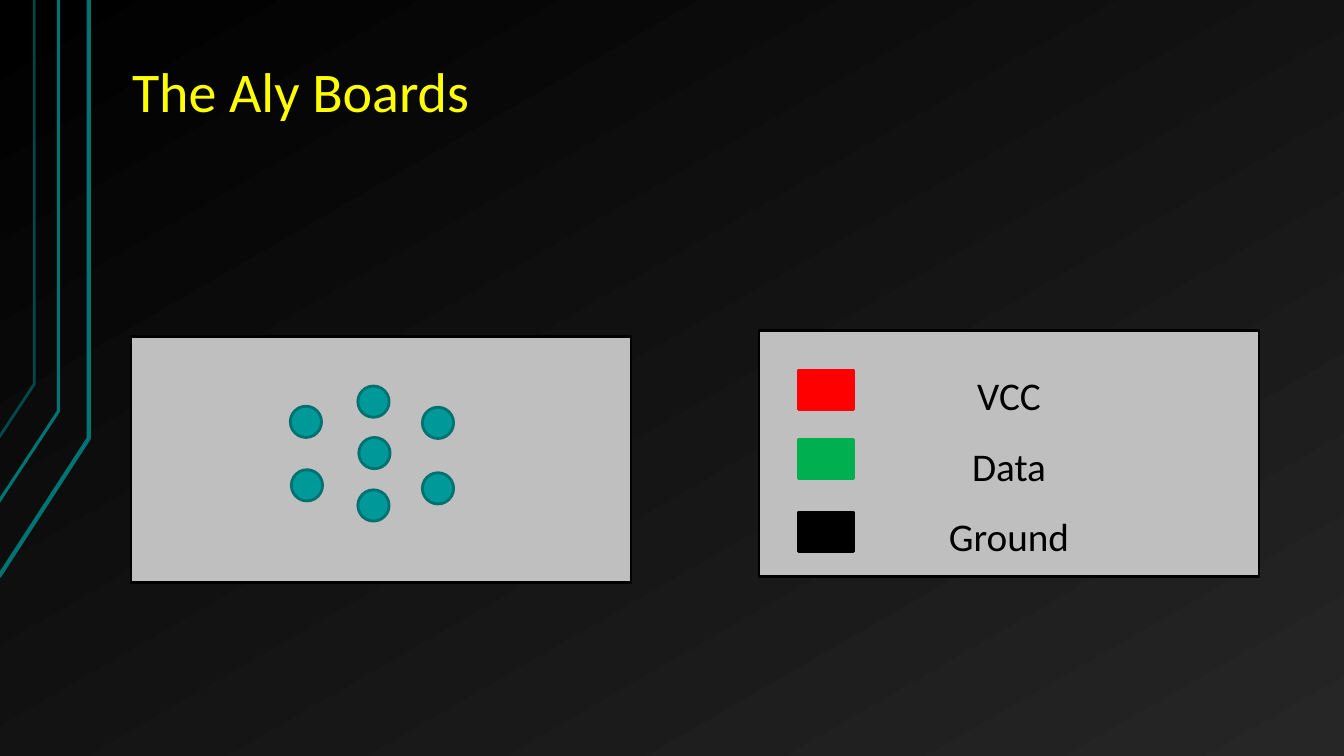
from lxml.etree import SubElement
from pptx import Presentation
from pptx.dml.color import RGBColor
from pptx.enum.shapes import MSO_SHAPE
from pptx.enum.text import MSO_ANCHOR, PP_ALIGN
from pptx.oxml.ns import qn
from pptx.util import Inches, Pt

COLORS = {
    "night": "000000",
    "graphite": "262626",
    "trace": "007373",
    "board": "BFBFBF",
    "black": "000000",
    "vcc": "FF0000",
    "data": "00B050",
    "pin": "009999",
    "pin_edge": "007171",
    "title": "FFFF00",
}
WIDTH, HEIGHT = Inches(13.33), Inches(7.5)
COLUMN, ROW = WIDTH / 40, HEIGHT / 30
BOARD_SIZE = (14.88, 9.76)
PIN_SIZE = (0.93, 1.24)
SWATCH_SIZE = (1.65, 1.56)
PINS = [
    (10.65, 15.32), (8.64, 16.12), (10.68, 17.36), (10.65, 19.44),
    (12.57, 18.76), (8.67, 18.64), (12.57, 16.16),
]
SWATCHES = [("vcc", 14.68), ("data", 17.44), ("black", 20.32)]
TRACES = [
    (2.64, 17.4, -0.03, 22.88, 3, 100),
    (1.74, 16.32, -0.06, 19.96, 2.25, 100),
    (1.02, 15.24, -0.03, 17.36, 2, 60),
]


def rgb(name):
    return RGBColor.from_string(COLORS[name])


def place(column, row):
    return round(column * COLUMN), round(row * ROW)


def paint_background(slide):
    fill = slide.background.fill
    fill.gradient()
    fill.gradient_angle = 300
    for stop, name in zip(fill.gradient_stops, ("night", "graphite")):
        stop.color.rgb = rgb(name)


def outline(shape, color, weight):
    shape.shadow.inherit = False
    shape.line.color.rgb = rgb(color)
    shape.line.width = Pt(weight)


def add_trace(slide, x, bend, end_x, end_y, weight, opacity):
    builder = slide.shapes.build_freeform(*place(end_x, end_y))
    builder.add_line_segments([place(x, bend), place(x, 0)], close=False)
    trace = builder.convert_to_shape()
    trace.fill.background()
    outline(trace, "trace", weight)
    if opacity < 100:
        tint = trace.line._ln.find(".//" + qn("a:srgbClr"))
        SubElement(tint, qn("a:alpha"), val=str(opacity * 1000))


def add_block(slide, kind, position, size, fill, edge):
    block = slide.shapes.add_shape(kind, *place(*position), *place(*size))
    block.fill.solid()
    block.fill.fore_color.rgb = rgb(fill)
    outline(block, edge, 2)
    return block


def write(frame, text, size, color, align=PP_ALIGN.LEFT, anchor=MSO_ANCHOR.MIDDLE,
          spacing=1.0):
    frame.word_wrap = True
    frame.vertical_anchor = anchor
    frame.text = text
    for paragraph in frame.paragraphs:
        paragraph.alignment = align
        paragraph.line_spacing = spacing
        for run in paragraph.runs:
            run.font.name = "Calibri"
            run.font.size = Pt(size)
            run.font.color.rgb = rgb(color)


def add_title(slide, text):
    frame = slide.shapes.add_textbox(*place(3.54, -0.12), *place(34, 5.36)).text_frame
    frame.margin_left = frame.margin_right = Inches(0.13)
    frame.margin_top = frame.margin_bottom = Inches(0.07)
    write(frame, text, size=40, color="title", anchor=MSO_ANCHOR.BOTTOM, spacing=0.9)


def add_legend(slide):
    legend = add_block(slide, MSO_SHAPE.RECTANGLE, (22.59, 13.12), BOARD_SIZE,
                       "board", "black")
    write(legend.text_frame, "VCC\nData\nGround", size=28, color="black",
          align=PP_ALIGN.CENTER, spacing=1.5)
    for color, row in SWATCHES:
        add_block(slide, MSO_SHAPE.RECTANGLE, (23.76, row), SWATCH_SIZE, color, color)


def add_pin_board(slide):
    add_block(slide, MSO_SHAPE.RECTANGLE, (3.9, 13.36), BOARD_SIZE, "board", "black")
    for pin in PINS:
        add_block(slide, MSO_SHAPE.OVAL, pin, PIN_SIZE, "pin", "pin_edge")


def main():
    deck = Presentation()
    deck.slide_width, deck.slide_height = WIDTH, HEIGHT
    slide = deck.slides.add_slide(deck.slide_layouts[6])
    paint_background(slide)
    for trace in TRACES:
        add_trace(slide, *trace)
    add_legend(slide)
    add_pin_board(slide)
    add_title(slide, "The Aly Boards")
    deck.save("out.pptx")


if __name__ == "__main__":
    main()
